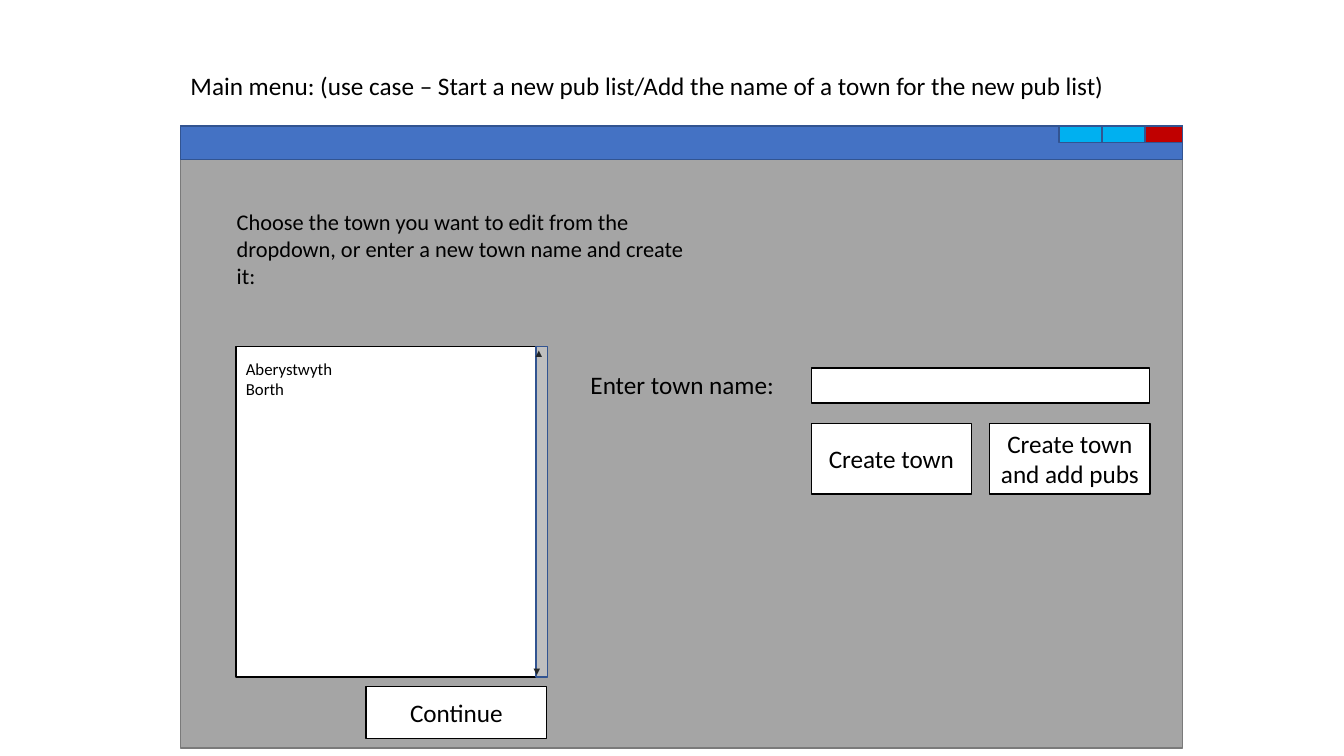
from pptx import Presentation
from pptx.dml.color import RGBColor
from pptx.enum.shapes import MSO_SHAPE
from pptx.enum.text import MSO_ANCHOR, PP_ALIGN
from pptx.util import Pt

BLACK = RGBColor(0x00, 0x00, 0x00)
WHITE = RGBColor(0xFF, 0xFF, 0xFF)
WINDOW_GREY = RGBColor(0xA5, 0xA5, 0xA5)
WINDOW_EDGE = RGBColor(0x7A, 0x7A, 0x7A)
TITLE_BLUE = RGBColor(0x44, 0x72, 0xC4)
BLUE_EDGE = RGBColor(0x32, 0x54, 0x91)
CONTROL_BLUE = RGBColor(0x00, 0xB0, 0xF0)
CLOSE_RED = RGBColor(0xC0, 0x00, 0x00)
SCROLL_GREY = RGBColor(0xBF, 0xBF, 0xBF)
ARROW_INK = RGBColor(0x24, 0x27, 0x29)


class Mockup:
    """Draws user interface elements on one slide; lengths are in points."""

    def __init__(self, slide):
        self.shapes = slide.shapes

    def set_text(self, shape, text, size, align=PP_ALIGN.LEFT, font="Calibri", color=BLACK):
        shape.text_frame.text = text
        for paragraph in shape.text_frame.paragraphs:
            paragraph.alignment = align
            for run in paragraph.runs:
                run.font.name = font
                run.font.size = Pt(size)
                run.font.color.rgb = color

    def panel(self, left, top, width, height, fill=WHITE, edge=BLACK):
        panel = self.shapes.add_shape(
            MSO_SHAPE.RECTANGLE, Pt(left), Pt(top), Pt(width), Pt(height))
        panel.shadow.inherit = False
        panel.fill.solid()
        panel.fill.fore_color.rgb = fill
        panel.line.color.rgb = edge
        panel.line.width = Pt(1)
        return panel

    def button(self, left, top, width, height, caption):
        button = self.panel(left, top, width, height)
        button.text_frame.word_wrap = True
        button.text_frame.vertical_anchor = MSO_ANCHOR.MIDDLE
        self.set_text(button, caption, 18, PP_ALIGN.CENTER)

    def list_box(self, left, top, width, height, entries):
        list_box = self.panel(left, top, width, height)
        frame = list_box.text_frame
        frame.word_wrap = True
        frame.vertical_anchor = MSO_ANCHOR.TOP
        frame.margin_top = Pt(8.5)
        self.set_text(list_box, "\n".join(entries), 12)

    def label(self, left, top, width, height, text, size=18):
        label = self.shapes.add_textbox(Pt(left), Pt(top), Pt(width), Pt(height))
        label.text_frame.word_wrap = True
        self.set_text(label, text, size)

    def scroll_arrow(self, left, top, symbol):
        arrow = self.shapes.add_textbox(Pt(left), Pt(top), Pt(8), Pt(17))
        frame = arrow.text_frame
        frame.word_wrap = False
        frame.margin_left = frame.margin_right = 0
        frame.vertical_anchor = MSO_ANCHOR.MIDDLE
        self.set_text(arrow, symbol, 8, PP_ALIGN.CENTER, "Arial", ARROW_INK)


def main():
    presentation = Presentation()
    presentation.slide_width = Pt(960)
    presentation.slide_height = Pt(540)
    mockup = Mockup(presentation.slides.add_slide(presentation.slide_layouts[6]))

    # Window frame, title bar and window controls
    window_left, window_top, window_width = 129, 90, 715.5
    mockup.panel(window_left, window_top, window_width, 444.4, WINDOW_GREY, WINDOW_EDGE)
    mockup.panel(window_left, window_top, window_width, 24, TITLE_BLUE, BLUE_EDGE)
    control_left = 756.5
    for width, fill in ((30.7, CONTROL_BLUE), (30.7, CONTROL_BLUE), (26.6, CLOSE_RED)):
        mockup.panel(control_left, window_top, width, 12, fill, BLUE_EDGE)
        control_left += width

    mockup.label(window_left, 47, 726, 29,
                 "Main menu: (use case – Start a new pub list/Add the name "
                 "of a town for the new pub list)")
    mockup.label(162, 145.4, 345.6, 65.5,
                 "Choose the town you want to edit from the dropdown, "
                 "or enter a new town name and create it:", 16)

    # Town list with its scroll bar
    list_left, list_top, list_width, list_height = 168.5, 247.7, 214.5, 236
    mockup.list_box(list_left, list_top, list_width, list_height, ("Aberystwyth", "Borth"))
    mockup.button(261.5, 490.3, 129, 37.4, "Continue")
    mockup.panel(list_left + list_width, list_top, 8, list_height, SCROLL_GREY, BLUE_EDGE)
    mockup.scroll_arrow(381, 244, "▲")
    mockup.scroll_arrow(379.5, 470.5, "▼")

    # New town entry
    field_left, field_width, button_width = 579.5, 241.5, 114.5
    mockup.label(414.7, 260.6, 252, 29, "Enter town name:")
    mockup.panel(field_left, 263, field_width, 25)
    for column, caption in enumerate(("Create town", "Create town and add pubs")):
        left = field_left + column * (field_width - button_width + 0.5)
        mockup.button(left, 302.5, button_width, 50.4, caption)

    presentation.save("out.pptx")


if __name__ == "__main__":
    main()
